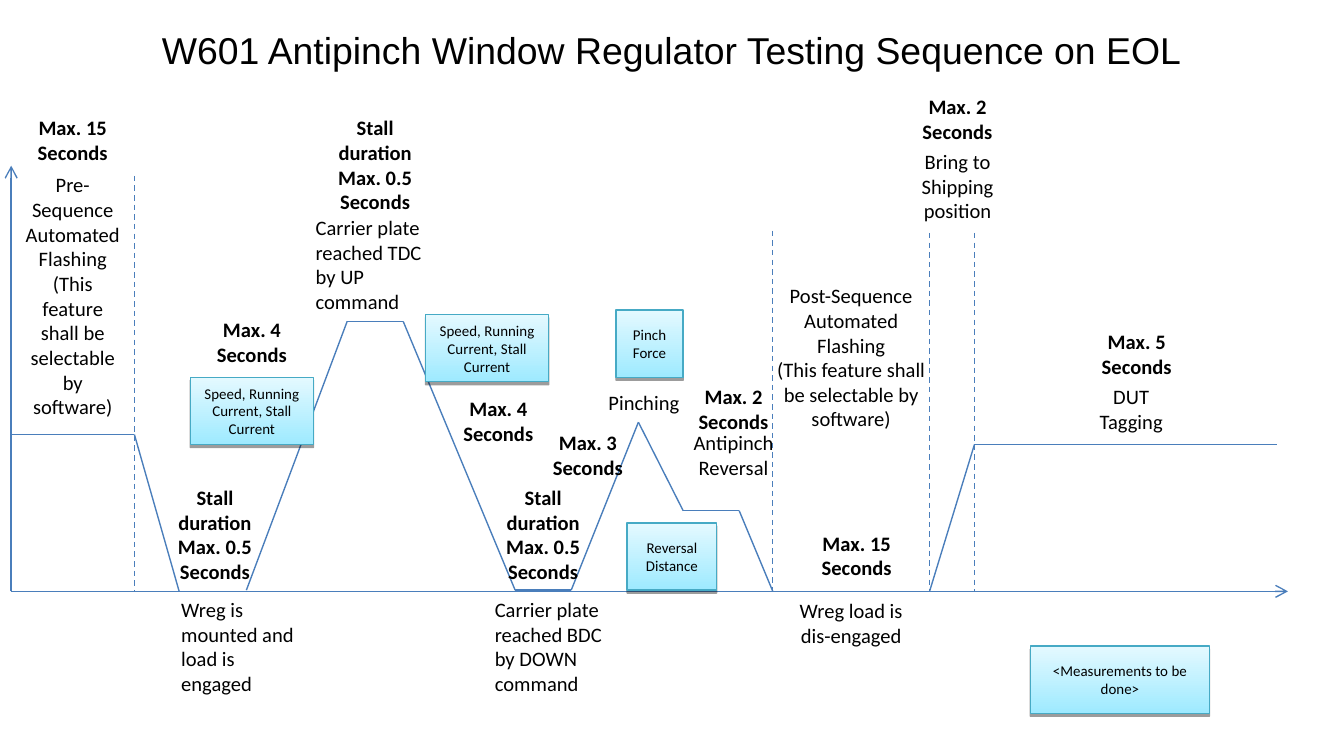
from itertools import pairwise

from lxml import etree
from pptx import Presentation
from pptx.dml.color import RGBColor
from pptx.enum.dml import MSO_LINE
from pptx.enum.shapes import MSO_CONNECTOR, MSO_SHAPE
from pptx.enum.text import MSO_ANCHOR, MSO_AUTO_SIZE, PP_ALIGN
from pptx.oxml.ns import qn
from pptx.util import Pt

PX = 7620
LEFT, CENTER = PP_ALIGN.LEFT, PP_ALIGN.CENTER
TOP, MIDDLE = MSO_ANCHOR.TOP, MSO_ANCHOR.MIDDLE
GROW = MSO_AUTO_SIZE.SHAPE_TO_FIT_TEXT
STRAIGHT = MSO_CONNECTOR.STRAIGHT
DASH = MSO_LINE.DASH
RECT = MSO_SHAPE.RECTANGLE

COLORS = {"text": "000000", "line": "4A7EBB", "border": "46AAC5",
          "bottom": "9EEAFF", "top": "E4F9FF", "shadow": "000000"}

TITLE = "W601 Antipinch Window Regulator Testing Sequence on EOL"
BASE = 528
AXES = [(10, BASE, 1150, BASE), (10, BASE, 10, 148)]
TRACES = [
    [(10, 388), (120, 388), (160, BASE)],
    [(220, 527), (310, 287), (360, 287), (460, 527), (510, 527),
     (570, 377), (610, 456), (660, 456), (690, BASE)],
    [(830, BASE), (870, 397), (1140, 397)],
]
PHASE_MARKS = [(10, 208), (120, 157), (690, 206), (830, 208), (870, 208)]

STALL = "Stall duration Max. 0.5 Seconds"
DURATIONS = [
    (10, 97, 2, "Max. 15 Seconds"),
    (170, 277, 2, "Max. 4 Seconds"),
    (390, 348, 2, "Max. 4 Seconds"),
    (280, 97, 4, STALL),
    (137, 427, 4, STALL),
    (430, 427, 4, STALL),
    (470, 378, 2, "Max. 3 Seconds"),
    (600, 337, 2, "Max. 2 Seconds"),
    (710, 468, 2, "Max. 15 Seconds"),
    (800, 78, 2, "Max. 2 Seconds"),
    (960, 288, 2, "Max. 5 Seconds"),
]
SELECTABLE = "(This feature shall be selectable by software)"
STEPS = [
    (10, 148, 110, 10, CENTER, "Pre-Sequence Automated Flashing\n" + SELECTABLE),
    (150, 527, 130, 4, LEFT, "Wreg is mounted and load is engaged"),
    (270, 186, 130, 4, LEFT, "Carrier plate reached TDC by UP command"),
    (430, 527, 130, 4, LEFT, "Carrier plate reached BDC by DOWN command"),
    (510, 342, 130, 1, CENTER, "Pinching"),
    (590, 378, 130, 2, CENTER, "Antipinch Reversal"),
    (690, 528, 140, 2, CENTER, "Wreg load is dis-engaged"),
    (680, 247, 160, 6, CENTER, "Post-Sequence Automated Flashing\n" + SELECTABLE),
    (790, 127, 130, 3, CENTER, "Bring to Shipping position"),
    (960, 337, 100, 2, CENTER, "DUT\nTagging"),
]
SPEED = "Speed, Running Current, Stall Current"
MEASUREMENTS = [
    (170, 337, 110, SPEED),
    (380, 281, 110, SPEED),
    (550, 277, 60, "Pinch Force"),
    (560, 467, 80, "Reversal Distance"),
    (920, 577, 160, "<Measurements to be done>"),
]


def rgb(name):
    return RGBColor.from_string(COLORS[name])


def emu(*lengths):
    return [length * PX for length in lengths]


def write(sp, text, size, align=CENTER, anchor=TOP, bold=False, font="Calibri"):
    tf = sp.text_frame
    tf.text = text
    tf.word_wrap = True
    tf.vertical_anchor = anchor
    for p in tf.paragraphs:
        p.alignment = align
        for r in p.runs:
            r.font.name = font
            r.font.size = Pt(size)
            r.font.bold = bold
            r.font.color.rgb = rgb("text")


def add_line(s, x1, y1, x2, y2, dashed=False, arrow=False):
    line = s.shapes.add_connector(STRAIGHT, *emu(x1, y1, x2, y2))
    line.line.color.rgb = rgb("line")
    line.line.width = Pt(0.75)
    if dashed:
        line.line.dash_style = DASH
    if arrow:
        etree.SubElement(line.line._get_or_add_ln(), qn("a:tailEnd"), type="arrow")
    etree.SubElement(line._element.spPr, qn("a:effectLst"))


def add_label(s, x, y, w, lines, align, text, bold=False):
    sp = s.shapes.add_textbox(*emu(x, y, w, 12 + 22 * lines))
    write(sp, text, 11, align, bold=bold)
    sp.text_frame.auto_size = GROW


def add_measurement(s, x, y, w, text):
    sp = s.shapes.add_shape(RECT, *emu(x, y, w, 60))
    sp.fill.gradient()
    sp.fill.gradient_angle = 90
    for stop, name in zip(sp.fill.gradient_stops, ("bottom", "top")):
        stop.color.rgb = rgb(name)
        stop.position = 0 if name == "bottom" else 1
    sp.line.color.rgb = rgb("border")
    sp.line.width = Pt(0.75)
    sp.shadow.inherit = False
    effects = sp._element.spPr.find(qn("a:effectLst"))
    shadow = etree.SubElement(effects, qn("a:outerShdw"), blurRad="0", dist="20000",
                              dir="5400000", rotWithShape="0")
    color = etree.SubElement(shadow, qn("a:srgbClr"), val=COLORS["shadow"])
    etree.SubElement(color, qn("a:alpha"), val="38000")
    write(sp, text, 8, anchor=MIDDLE)


def main():
    prs = Presentation()
    prs.slide_width, prs.slide_height = emu(1200, 675)
    s = prs.slides.add_slide(prs.slide_layouts[5])
    title = s.shapes.title
    title.left, title.top, title.width, title.height = emu(20, 18, 1160, 53)
    write(title, TITLE, 20, font="Arial")

    for axis in AXES:
        add_line(s, *axis, arrow=True)
    for trace in TRACES:
        for start, end in pairwise(trace):
            add_line(s, *start, *end)
    for x, y in PHASE_MARKS:
        add_line(s, x, y, x, BASE, dashed=True)
    for measurement in MEASUREMENTS:
        add_measurement(s, *measurement)
    for step in STEPS:
        add_label(s, *step)
    for x, y, lines, text in DURATIONS:
        add_label(s, x, y, 110, lines, CENTER, text, bold=True)
    prs.save("out.pptx")


if __name__ == "__main__":
    main()
